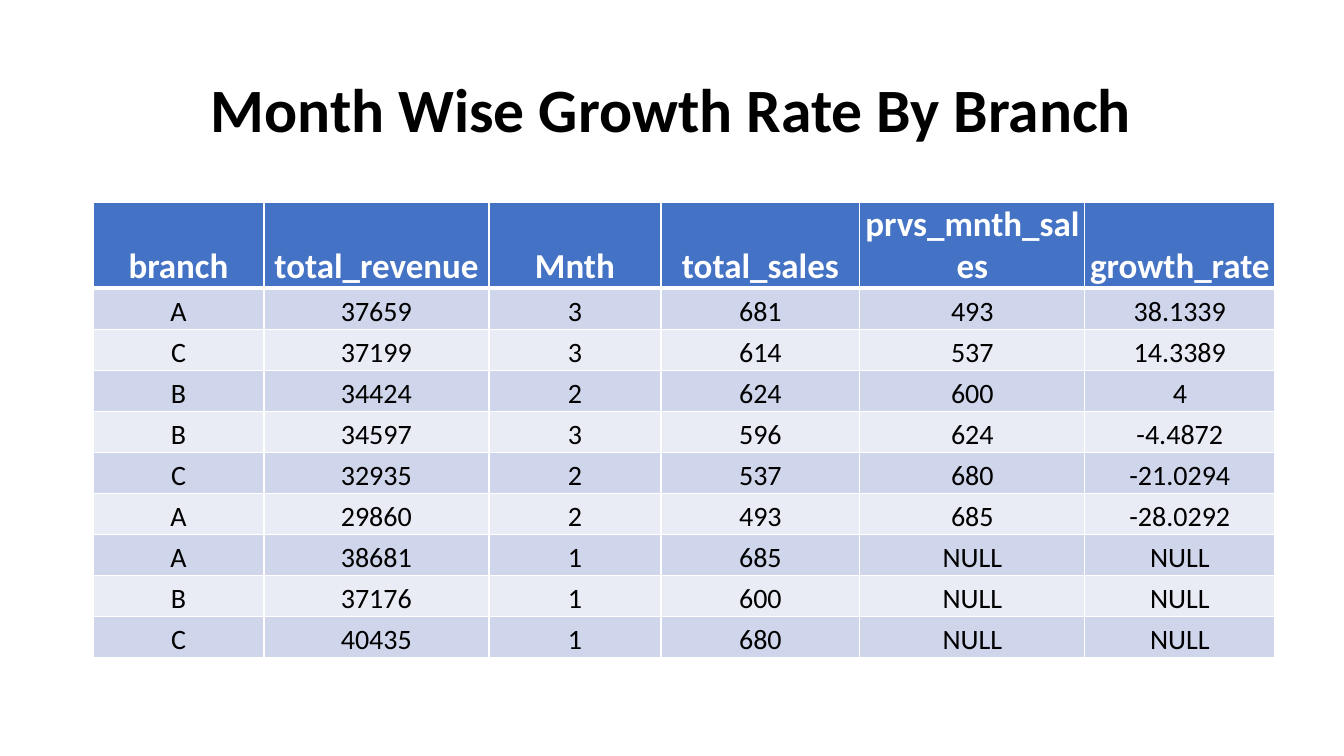
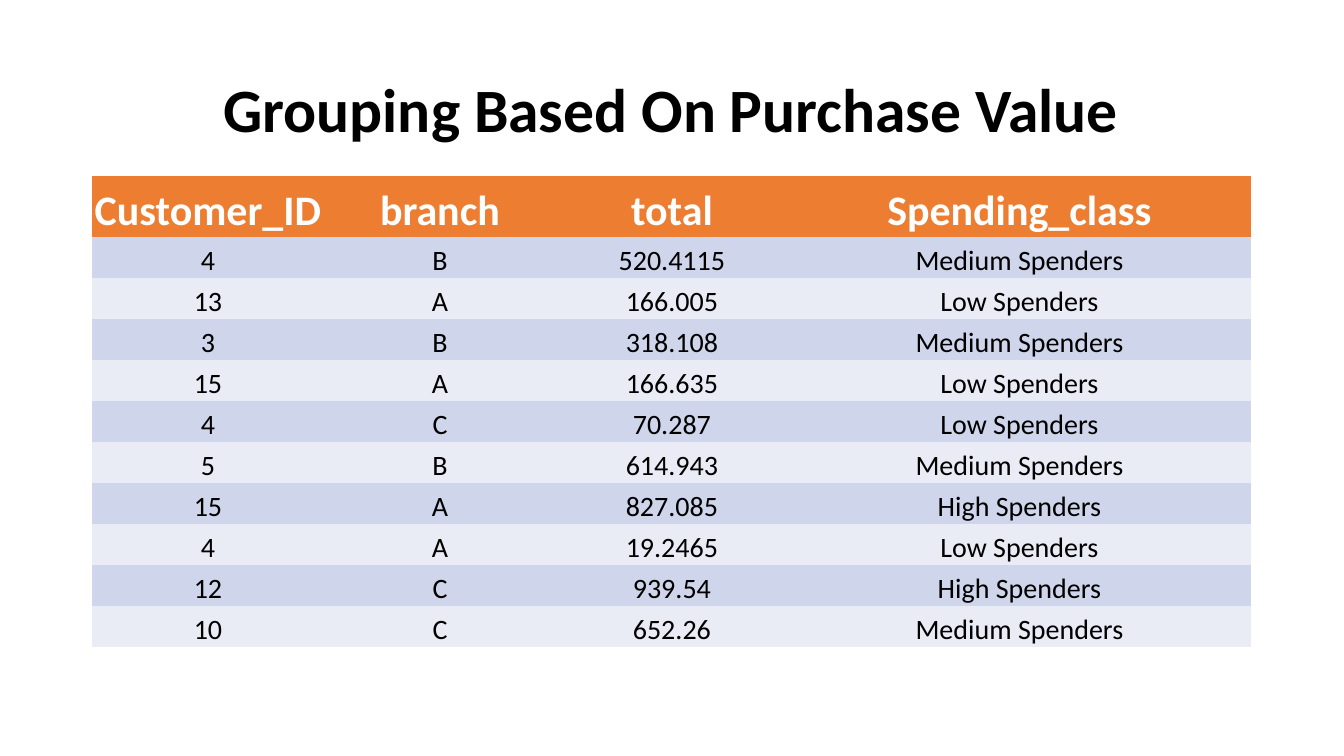
from lxml import etree
from pptx import Presentation
from pptx.dml.color import RGBColor
from pptx.enum.text import MSO_ANCHOR, MSO_AUTO_SIZE, PP_ALIGN
from pptx.oxml.ns import qn
from pptx.util import Emu, Pt

CENTER = PP_ALIGN.CENTER
MIDDLE = MSO_ANCHOR.MIDDLE
BOTTOM = MSO_ANCHOR.BOTTOM
NO_FIT = MSO_AUTO_SIZE.NONE

WHITE = RGBColor(0xFF, 0xFF, 0xFF)
BLACK = RGBColor(0x00, 0x00, 0x00)
BLUE = RGBColor(0x44, 0x72, 0xC4)
ORANGE = RGBColor(0xED, 0x7D, 0x31)
BANDS = (RGBColor(0xCF, 0xD5, 0xEA), RGBColor(0xE9, 0xEB, 0xF5))

FONT = "Calibri"
PLAIN = "{2D5ABB26-0587-4C30-8999-92F81FD0307C}"
ROW = 41

GROWTH = [
    ("branch", "total_revenue", "Mnth", "total_sales", "prvs_mnth_sales", "growth_rate"),
    ("A", "37659", "3", "681", "493", "38.1339"),
    ("C", "37199", "3", "614", "537", "14.3389"),
    ("B", "34424", "2", "624", "600", "4"),
    ("B", "34597", "3", "596", "624", "-4.4872"),
    ("C", "32935", "2", "537", "680", "-21.0294"),
    ("A", "29860", "2", "493", "685", "-28.0292"),
    ("A", "38681", "1", "685", "NULL", "NULL"),
    ("B", "37176", "1", "600", "NULL", "NULL"),
    ("C", "40435", "1", "680", "NULL", "NULL"),
]

SPEND = [
    ("Customer_ID", "branch", "total", "Spending_class"),
    ("4", "B", "520.4115", "Medium Spenders"),
    ("13", "A", "166.005", "Low Spenders"),
    ("3", "B", "318.108", "Medium Spenders"),
    ("15", "A", "166.635", "Low Spenders"),
    ("4", "C", "70.287", "Low Spenders"),
    ("5", "B", "614.943", "Medium Spenders"),
    ("15", "A", "827.085", "High Spenders"),
    ("4", "A", "19.2465", "Low Spenders"),
    ("12", "C", "939.54", "High Spenders"),
    ("10", "C", "652.26", "Medium Spenders"),
]


def px(n):
    return Emu(round(n * 914400 / 100.8))


class Deck:
    def __init__(self):
        self.prs = Presentation()
        self.prs.slide_width, self.prs.slide_height = px(1344), px(756)
        self.slide = None

    def page(self, text):
        self.slide = self.prs.slides.add_slide(self.prs.slide_layouts[5])
        title = self.slide.shapes.title
        title.left, title.top, title.width, title.height = map(px, (92, 40, 1159, 146))
        frame = title.text_frame
        frame.text = text
        frame.word_wrap = True
        frame.auto_size = NO_FIT
        frame.vertical_anchor = MIDDLE
        para = frame.paragraphs[0]
        para.line_spacing = 0.9
        self.style(para, 44, BLACK, True)

    def style(self, para, size, color, bold):
        para.alignment = CENTER
        font = para.font
        font.name, font.size, font.bold = FONT, Pt(size), bold
        font.color.rgb = color

    def edge(self, cell, sides):
        props = cell._tc.get_or_add_tcPr()
        for i, (side, width) in enumerate(sides.items()):
            line = etree.Element(qn("a:ln" + side), w=str(Pt(width)))
            fill = etree.SubElement(line, qn("a:solidFill"))
            etree.SubElement(fill, qn("a:srgbClr"), val=str(WHITE))
            props.insert(i, line)

    def cell(self, cell, text, size, color, bold, fill):
        cell.text = text
        cell.vertical_anchor = BOTTOM
        cell.margin_left = cell.margin_right = cell.margin_top = px(1)
        cell.margin_bottom = 0
        cell.fill.solid()
        cell.fill.fore_color.rgb = fill
        self.style(cell.text_frame.paragraphs[0], size, color, bold)

    def table(self, left, top, cols, head, size, fill, data, grid=False):
        high = head + ROW * (len(data) - 1)
        shape = self.slide.shapes.add_table(
            len(data), len(cols), px(left), px(top), px(sum(cols)), px(high))
        table = shape.table
        table._tbl.tblPr.find(qn("a:tableStyleId")).text = PLAIN
        for col, width in zip(table.columns, cols):
            col.width = px(width)
        for r, texts in enumerate(data):
            table.rows[r].height = px(ROW if r else head)
            look = (20, BLACK, False, BANDS[(r - 1) % 2]) if r else (size, WHITE, True, fill)
            for c, text in enumerate(texts):
                cell = table.cell(r, c)
                self.cell(cell, text, *look)
                if grid:
                    self.edge(cell, {"L": 1, "R": 1, "T": 3 if r == 1 else 1,
                                     "B": 3 if r == 0 else 1})


def main():
    deck = Deck()
    deck.page("Month Wise Growth Rate By Branch")
    deck.table(93, 202, (171, 225, 172, 199, 225, 190), 85, 25, BLUE, GROWTH, grid=True)
    deck.page("Grouping Based On Purchase Value")
    deck.table(92, 176, (232, 232, 232, 463), 61, 30, ORANGE, SPEND)
    deck.prs.save("out.pptx")


if __name__ == "__main__":
    main()
